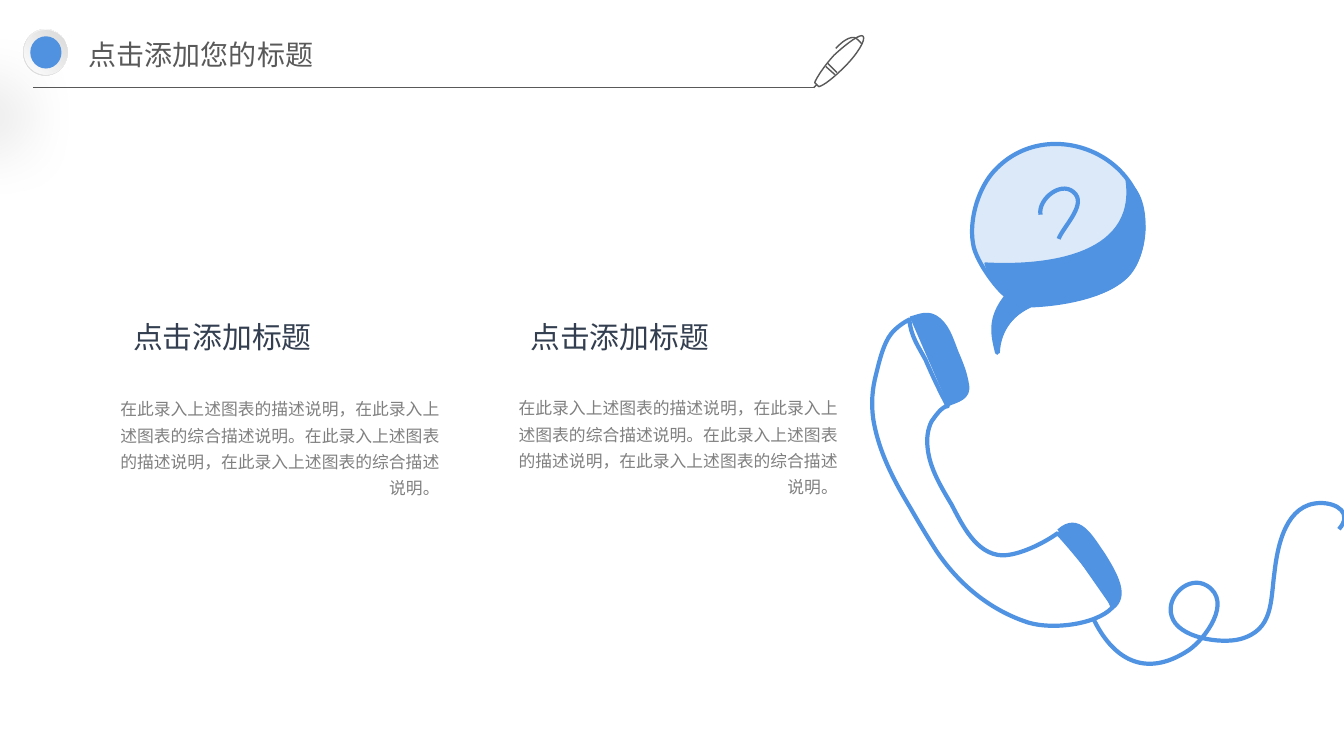
"""Build a slide with a header, two text columns and a telephone drawing."""
from lxml import etree
from pptx import Presentation
from pptx import util as u
from pptx.dml.color import RGBColor
from pptx.enum import lang, shapes, text
from pptx.oxml import parse_xml
from pptx.oxml.ns import nsdecls, qn

BLUE, PALE, INK = "5093E2", "DCE9F9", "595959"


def draw_curves(page, place, strokes, fill, line, width):
    """Draw cubic curves inside a frame; two points make a straight line, Z closes a stroke."""
    left, top, wide, high = map(u.Inches, place)
    builder = page.shapes.build_freeform(left, top)
    builder.add_line_segments([(left + wide, top + high)], close=False)
    outline = builder.convert_to_shape()
    track = outline._element.spPr.find(".//" + qn("a:path"))
    for step in list(track):
        track.remove(step)
    for stroke in strokes:
        pairs = stroke.removesuffix(" Z").split()
        curve = ("a:lnTo", 1) if len(pairs) == 2 else ("a:cubicBezTo", 3)
        for index, pair in enumerate(pairs):
            if index == 0:
                step = etree.SubElement(track, qn("a:moveTo"))
            elif (index - 1) % curve[1] == 0:
                step = etree.SubElement(track, qn(curve[0]))
            x, y = map(float, pair.split(","))
            point = etree.SubElement(step, qn("a:pt"))
            point.set("x", str(u.Inches(x) - left))
            point.set("y", str(u.Inches(y) - top))
        if stroke.endswith("Z"):
            etree.SubElement(track, qn("a:close"))
    outline.shadow.inherit = False
    if fill:
        outline.fill.solid()
        outline.fill.fore_color.rgb = RGBColor.from_string(fill)
    else:
        outline.fill.background()
    outline.line.color.rgb = RGBColor.from_string(line)
    outline.line.width = u.Pt(width)
    return outline


def add_words(page, place, words, size, font, color, insets, align, wrap=True, spacing=None):
    """Add a text box with one paragraph."""
    box = page.shapes.add_textbox(*map(u.Inches, place))
    frame = box.text_frame
    frame.word_wrap = wrap
    frame.margin_left = frame.margin_right = u.Inches(insets[0])
    frame.margin_top = frame.margin_bottom = u.Inches(insets[1])
    para = frame.paragraphs[0]
    para.alignment = align
    para.line_spacing = spacing
    span = para.add_run()
    span.text = words
    span.font.size = u.Pt(size)
    span.font.name = font
    span.font.language_id = lang.MSO_LANGUAGE_ID.SIMPLIFIED_CHINESE
    span.font.color.rgb = RGBColor.from_string(color)
    etree.SubElement(span.font._element, qn("a:ea")).set("typeface", font)


deck = Presentation()
deck.slide_width, deck.slide_height = u.Inches(13.33), u.Inches(7.5)
page = deck.slides.add_slide(deck.slide_layouts[6])

earpiece = "9.03,3.16 9.14,3.13 9.21,3.09 9.31,3.17 9.42,3.26 9.45,3.42 9.51,3.55 " \
    "9.55,3.65 9.57,3.7 9.59,3.81 9.62,3.95 9.49,3.97 9.4,4.01"
mouthpiece = "10.5,5.27 10.7,5.09 10.82,5.33 10.94,5.5 11.08,5.72 11.18,5.92 11.03,6.03"
handle = "9.4,4.03 9.31,3.86 9.24,3.71 9.18,3.57 9.11,3.44 9.03,3.33 9.02,3.17 " \
    "8.96,3.2 8.89,3.25 8.84,3.31 8.76,3.41 8.72,3.59 8.69,3.71 " \
    "8.65,3.86 8.64,4 8.66,4.15 8.71,4.47 8.86,4.76 9.03,5.04 " \
    "9.11,5.18 9.2,5.33 9.29,5.47 9.5,5.78 9.79,6.03 10.15,6.16 " \
    "10.4,6.26 10.87,6.2 11.03,6.03 11.05,5.92 10.5,5.29 10.49,5.29 " \
    "10.35,5.39 10.11,5.51 9.94,5.51 9.68,5.5 9.54,5.2 9.44,5.01 " \
    "9.34,4.84 9.22,4.65 9.2,4.44 9.19,4.35 9.2,4.26 9.24,4.18 9.27,4.14 9.34,4.03 9.4,4.03 Z"
cord = "10.84,6.13 11.03,6.53 11.35,6.74 11.79,6.45 11.95,6.34 12.23,5.97 11.97,5.81 " \
    "11.79,5.7 11.56,5.92 11.62,6.11 11.68,6.33 12.11,6.39 12.3,6.34 " \
    "12.63,6.25 12.6,5.97 12.64,5.68 12.67,5.42 12.75,4.99 13.1,4.99 " \
    "13.26,4.99 13.42,5.09 13.28,5.25"
page.shapes.add_group_shape([
    draw_curves(page, place, [part], fill, BLUE, 3)
    for place, part, fill in (((9.03, 3.12, 0.57, 0.89), earpiece, BLUE),
                              ((10.5, 5.21, 0.61, 0.83), mouthpiece, BLUE),
                              ((8.65, 3.17, 2.38, 3.04), handle, None),
                              ((10.84, 4.99, 2.49, 1.59), cord, None))])

balloon = "11.34,2.31 11.33,2.43 11.3,2.55 11.23,2.66 11.06,2.94 10.52,3.02 10.22,3.03 " \
    "10.05,3.11 9.9,3.25 9.89,3.5 9.85,3.33 9.8,3.16 9.99,2.93 " \
    "9.97,2.96 9.72,2.67 9.66,2.46 9.6,2.22 9.69,1.9 9.84,1.72 " \
    "10.35,1.12 11.38,1.51 11.34,2.31 Z"
shade = "11.35,2.31 11.34,2.45 11.3,2.58 11.25,2.66 11.08,2.95 10.54,3.02 10.23,3.03 " \
    "10.07,3.11 9.92,3.26 9.91,3.5 9.87,3.33 9.82,3.17 10.01,2.94 " \
    "9.97,2.98 9.77,2.67 9.77,2.61 10.3,2.64 11.28,2.57 11.17,1.79 " \
    "11.32,1.88 11.37,2.1 11.35,2.31 Z"
question = "10.32,2.13 10.29,1.97 10.55,1.77 10.67,1.93 10.76,2.05 10.54,2.26 10.5,2.37"
page.shapes.add_group_shape([
    draw_curves(page, place, [part], fill, BLUE, width)
    for place, part, fill, width in (((9.64, 1.43, 1.7, 2.07), balloon, PALE, 3),
                                     ((9.77, 1.79, 1.58, 1.71), shade, BLUE, 1),
                                     ((10.32, 1.87, 0.37, 0.5), question, None, 3))])

description = "在此录入上述图表的描述说明，在此录入上述图表的综合描述说明。" * 2
for heading_left, body_left, body_top in ((1.19, 1.02, 3.86), (5.13, 4.97, 3.85)):
    add_words(page, (heading_left, 3.11, 2, 0.46), "点击添加标题", 21.3, "Calibri", "333F50",
              (0.1, 0.05), text.PP_ALIGN.RIGHT, wrap=False)
    add_words(page, (body_left, body_top, 3.38, 1.37), description, 12, "Noto Sans CJK SC",
              "808080", (0.04, 0.04), text.PP_ALIGN.RIGHT, spacing=1.3)

rule = page.shapes.add_connector(shapes.MSO_CONNECTOR.STRAIGHT, u.Inches(0.33), u.Inches(0.87),
                                 u.Inches(8.07), u.Inches(0.87))
rule.line.color.rgb = RGBColor.from_string(INK)
rule.line.width = u.Pt(0.5)
etree.SubElement(rule._element.spPr, qn("a:effectLst"))

pen = ["8.28,0.74 8.19,0.66", "8.21,0.63 8.3,0.72",
       "8.56,0.36 8.54,0.33 8.41,0.42 8.27,0.55 8.17,0.66 8.1,0.77 8.08,0.82 8.12,0.86 "
       "8.12,0.86 8.12,0.86 8.17,0.85 8.27,0.77 8.38,0.66 8.51,0.53 8.59,0.39 8.56,0.36 Z",
       "8.1,0.84 8.07,0.87",
       "8.55,0.44 8.55,0.44 8.52,0.4 8.49,0.38 8.49,0.38 8.43,0.33 8.29,0.48"]
draw_curves(page, (8.07, 0.33, 0.52, 0.54), pen, None, INK, 1)

add_words(page, (0.75, 0.3, 2.65, 0.47), "点击添加您的标题", 20, "Noto Sans CJK JP", INK,
          (0.13, 0.07), text.PP_ALIGN.LEFT)

discs = []
for place, stops in (((0.23, 0.29, 0.44, 0.46), ("FFFFFF", "D9D9D9")),
                     ((0.24, 0.3, 0.43, 0.44), ("D9D9D9", "FEFEFE")),
                     ((0.3, 0.36, 0.31, 0.32), ("5092E0",))):
    disc = page.shapes.add_shape(shapes.MSO_SHAPE.OVAL, *map(u.Inches, place))
    disc.shadow.inherit = False
    disc.line.fill.background()
    if len(stops) == 1:
        disc.fill.solid()
        disc.fill.fore_color.rgb = RGBColor.from_string(stops[0])
    else:
        disc._element.spPr.insert(2, parse_xml(
            f'<a:gradFill {nsdecls("a")} rotWithShape="1"><a:gsLst>'
            f'<a:gs pos="0"><a:srgbClr val="{stops[0]}"/></a:gs>'
            f'<a:gs pos="100000"><a:srgbClr val="{stops[1]}"/></a:gs></a:gsLst>'
            '<a:path path="circle"><a:fillToRect l="100000" b="100000"/></a:path></a:gradFill>'))
    discs.append(disc)
discs[0]._element.spPr.find(qn("a:effectLst")).append(parse_xml(
    f'<a:outerShdw {nsdecls("a")} blurRad="{u.Pt(50)}" dist="{u.Pt(60)}" dir="{130 * 60000}" '
    'algn="ctr" rotWithShape="0"><a:srgbClr val="000000"><a:alpha val="25000"/></a:srgbClr>'
    '</a:outerShdw>'))
page.shapes.add_group_shape(discs)

deck.save("out.pptx")
